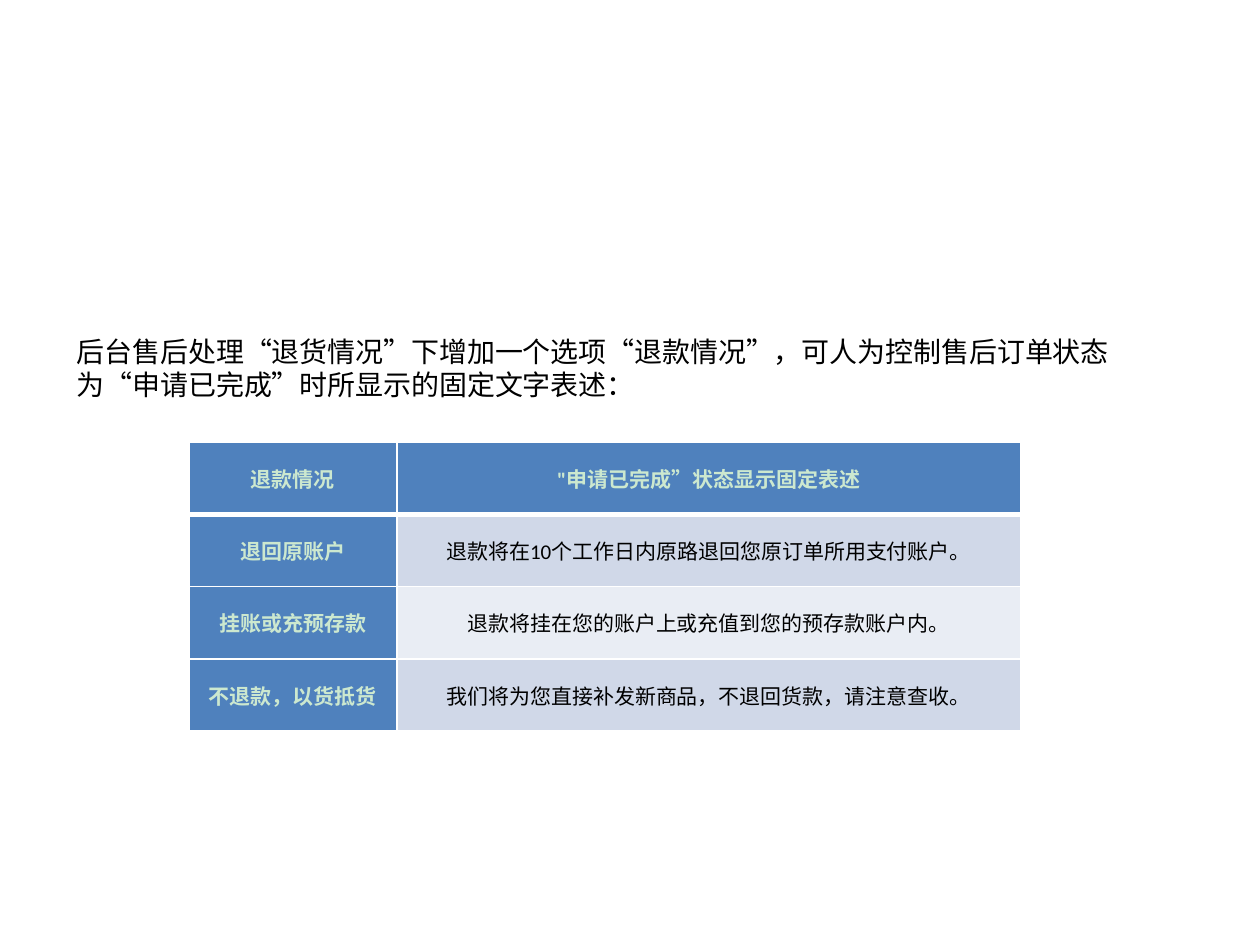
from lxml import etree
from pptx import Presentation
from pptx.dml.color import RGBColor
from pptx.enum.lang import MSO_LANGUAGE_ID
from pptx.enum.text import MSO_ANCHOR, PP_ALIGN
from pptx.oxml.ns import qn
from pptx.util import Pt

CENTER, LEFT = PP_ALIGN.CENTER, PP_ALIGN.LEFT
MIDDLE = MSO_ANCHOR.MIDDLE
CHINESE = MSO_LANGUAGE_ID.SIMPLIFIED_CHINESE

# Content
INTRO = "后台售后处理“退货情况”下增加一个选项“退款情况”，可人为控制售后订单状态为“申请已完成”时所显示的固定文字表述："
REFUND_ROWS = [
    ("退款情况", "\"申请已完成”状态显示固定表述"),
    ("退回原账户", "退款将在10个工作日内原路退回您原订单所用支付账户。"),
    ("挂账或充预存款", "退款将挂在您的账户上或充值到您的预存款账户内。"),
    ("不退款，以货抵货", "我们将为您直接补发新商品，不退回货款，请注意查收。"),
]
COLORS = {
    "page": "FFFFFF", "border": "FFFFFF", "text": "000000",
    "heading": "4F81BD", "heading_text": "CCE8CF",
    "band_dark": "D0D8E8", "band_light": "E9EDF4",
}
COLUMN_WIDTHS = (118.8, 356.4)
ROW_HEIGHT = 41.2


def rgb(name):
    return RGBColor.from_string(COLORS[name])


def write(frame, text, *, size, font, color="text", bold=False, align=LEFT):
    frame.word_wrap = True
    paragraph = frame.paragraphs[0]
    paragraph.alignment = align
    run = paragraph.add_run()
    run.text = text
    run.font.size = Pt(size)
    run.font.name = font
    run.font.bold = bold
    run.font.color.rgb = rgb(color)
    run.font.language_id = CHINESE


def set_borders(cell, widths):
    properties = cell._tc.get_or_add_tcPr()
    for index, (side, width) in enumerate(widths.items()):
        line = etree.Element(qn(f"a:{side}"), w=str(Pt(width)))
        fill = etree.SubElement(line, qn("a:solidFill"))
        etree.SubElement(fill, qn("a:srgbClr"), val=COLORS["border"])
        properties.insert(index, line)


presentation = Presentation()
presentation.slide_width, presentation.slide_height = Pt(720), Pt(540)
slide = presentation.slides.add_slide(presentation.slide_layouts[6])
slide.background.fill.solid()
slide.background.fill.fore_color.rgb = rgb("page")

# Refund table
refunds = slide.shapes.add_table(
    len(REFUND_ROWS), len(COLUMN_WIDTHS), Pt(108), Pt(252.9),
    Pt(sum(COLUMN_WIDTHS)), Pt(ROW_HEIGHT * len(REFUND_ROWS))).table
for column, width in zip(refunds.columns, COLUMN_WIDTHS):
    column.width = Pt(width)

for r, row in enumerate(REFUND_ROWS):
    refunds.rows[r].height = Pt(ROW_HEIGHT)
    for c, text in enumerate(row):
        cell = refunds.cell(r, c)
        is_heading = r == 0 or c == 0
        band = "band_dark" if r % 2 else "band_light"
        cell.vertical_anchor = MIDDLE
        cell.margin_left = cell.margin_right = Pt(5)
        cell.margin_top = cell.margin_bottom = Pt(0)
        cell.fill.solid()
        cell.fill.fore_color.rgb = rgb("heading" if is_heading else band)
        set_borders(cell, {"lnL": 1, "lnR": 1,
                           "lnT": 3 if r == 1 else 1,
                           "lnB": 3 if r == 0 else 1})
        write(cell.text_frame, text, size=12, font="Calibri", align=CENTER,
              color="heading_text" if is_heading else "text", bold=is_heading)

# Introduction
intro = slide.shapes.add_textbox(Pt(36.7), Pt(187.2), Pt(617.8), Pt(46)).text_frame
intro.vertical_anchor = MIDDLE
write(intro, INTRO, size=16, font="Times New Roman")

presentation.save("out.pptx")
